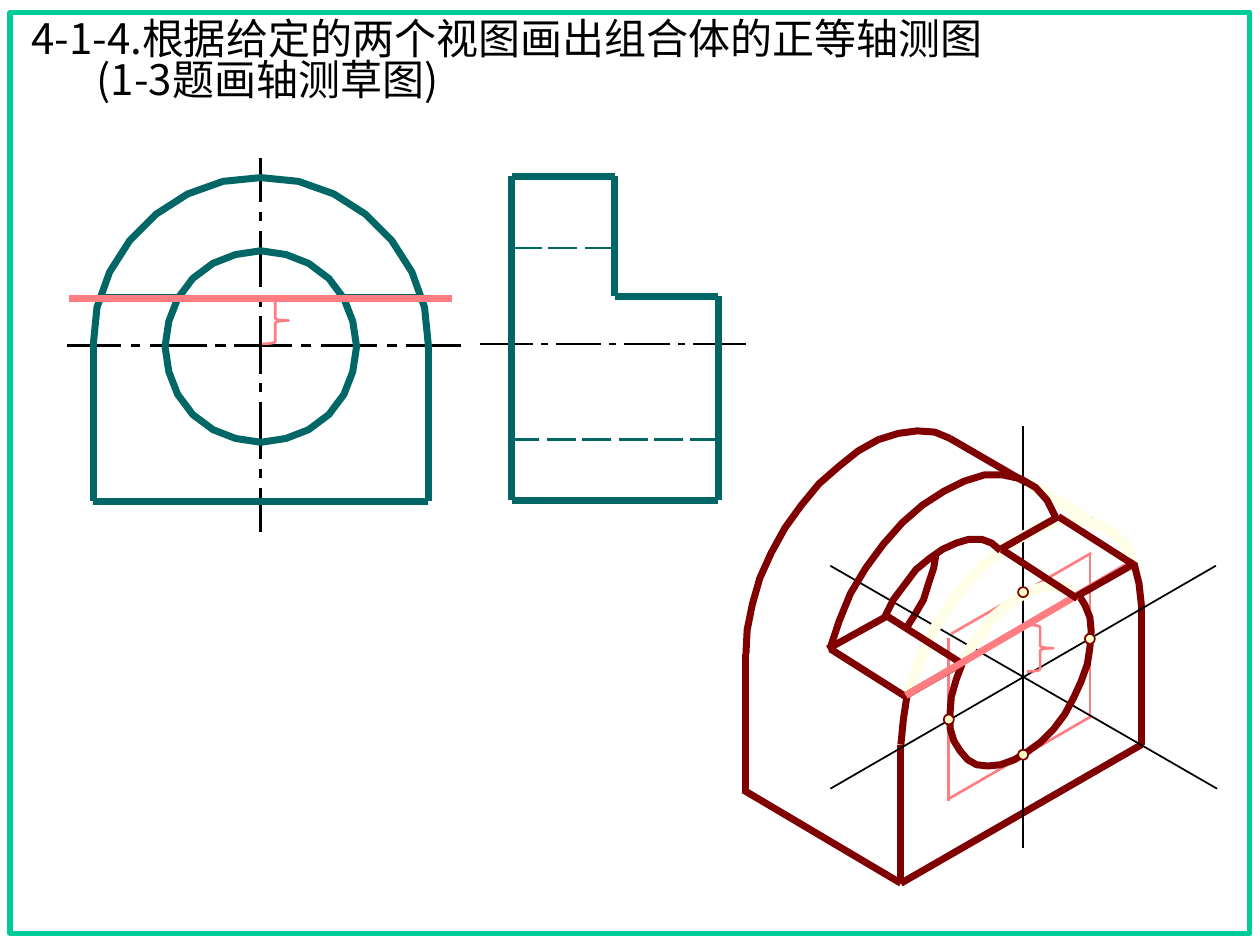
"""Build the slide for exercise 4-1-4: two views and the isometric drawing of a solid."""
from dataclasses import dataclass
from math import cos, pi, sin

from pptx import Presentation
from pptx.dml.color import RGBColor
from pptx.enum.shapes import MSO_CONNECTOR, MSO_SHAPE
from pptx.enum.text import MSO_ANCHOR
from pptx.oxml.xmlchemy import OxmlElement
from pptx.util import Pt

PX = 9144
STRAIGHT = MSO_CONNECTOR.STRAIGHT
RECTANGLE = MSO_SHAPE.RECTANGLE
OVAL = MSO_SHAPE.OVAL
RIGHT_BRACE = MSO_SHAPE.RIGHT_BRACE
MIDDLE = MSO_ANCHOR.MIDDLE


@dataclass(frozen=True)
class Theme:
    """Font, type size, colours and pens of the slide."""
    font: str = "Noto Sans CJK SC"
    title_size: int = 24
    text: str = "000000"
    dot: str = "FFFFCC"
    frame: tuple = ("00CC99", 3)
    centre: tuple = ("000000", 1.5)
    axis: tuple = ("000000", 1)
    view: tuple = ("006666", 4)
    hidden: tuple = ("006666", 1.5)
    solid: tuple = ("800000", 4)
    dot_edge: tuple = ("800000", 1)
    cut: tuple = ("FF7C80", 4)
    guide: tuple = ("FF7C80", 1.5)
    erased: tuple = ("FFFFE7", 6)


THEME = Theme()

CUT_OUTER_ARC = [
    (900, 446), (893, 432), (884, 422), (872, 415), (858, 412), (843, 412), (827, 417),
    (811, 425), (794, 436), (778, 450), (763, 467), (749, 486), (737, 506), (728, 528), (721, 549)]
CUT_HOLE_ARC = [
    (856, 473), (849, 467), (841, 464), (831, 464), (821, 467), (810, 472),
    (800, 479), (789, 488), (780, 500), (771, 512), (764, 526)]
LOWER_HOLE_ARC = [
    (764, 526), (759, 539), (755, 553), (754, 566), (754, 578), (757, 588), (762, 596),
    (768, 603), (775, 607), (784, 608), (794, 607), (805, 603), (815, 597), (826, 589),
    (836, 579), (845, 567), (852, 554), (858, 541), (863, 527), (865, 514), (866, 501),
    (865, 490), (861, 480), (856, 472)]
BACK_ARC = [
    (754, 348), (742, 343), (728, 342), (713, 344), (697, 349), (681, 358), (666, 370),
    (650, 384), (636, 401), (623, 419), (612, 439), (603, 459), (597, 480), (593, 500), (592, 519)]
HOLE_BACK_ARC = [(719, 499), (726, 488), (733, 476), (737, 463), (741, 451), (743, 439)]
LEFT_FRONT_ARC = [(720, 551), (717, 571), (715, 591)]
RIGHT_FRONT_ARC = [(906, 481), (904, 463), (900, 447)]


def set_pen(line, pen):
    """Apply a (colour, width) pen to a line format."""
    color, width = pen
    line.color.rgb = RGBColor.from_string(color)
    line.width = Pt(width)


def add_lines(s, pen, *segments):
    """Add one straight connector for each (x1, y1, x2, y2)."""
    for segment in segments:
        c = s.shapes.add_connector(STRAIGHT, *(v * PX for v in segment))
        set_pen(c.line, pen)
        c.element.spPr.append(OxmlElement("a:effectLst"))


def add_curve(s, pen, points, dx=0, dy=0, close=False):
    """Add an unfilled polyline, moved by (dx, dy)."""
    moved = [(x + dx, y + dy) for x, y in points]
    builder = s.shapes.build_freeform(*moved[0], scale=PX)
    builder.add_line_segments(moved[1:], close=close)
    sp = builder.convert_to_shape()
    sp.fill.background()
    set_pen(sp.line, pen)
    sp.shadow.inherit = False


def add_preset(s, kind, box, pen, fill=None):
    """Add a preset shape at box (left, top, width, height)."""
    sp = s.shapes.add_shape(kind, *(v * PX for v in box))
    if fill:
        sp.fill.solid()
        sp.fill.fore_color.rgb = RGBColor.from_string(fill)
    else:
        sp.fill.background()
    set_pen(sp.line, pen)
    sp.shadow.inherit = False


def circle_points(cx, cy, radius, steps, sweep):
    """Return points counter-clockwise from the right end of a circle."""
    angles = [sweep * i / steps for i in range(steps + 1)]
    return [(round(cx + radius * cos(a)), round(cy - radius * sin(a))) for a in angles]


def add_row(s, pen, y, spans):
    """Add the dashes of a horizontal line."""
    add_lines(s, pen, *((x1, y, x2, y) for x1, x2 in spans))


def add_column(s, pen, x, spans):
    """Add the dashes of a vertical line."""
    add_lines(s, pen, *((x, y1, x, y2) for y1, y2 in spans))


def add_title(s):
    """Add the two-line title."""
    tf = s.shapes.add_textbox(15 * PX, 25 * PX, 967 * PX, 50 * PX).text_frame
    tf.word_wrap = True
    tf.vertical_anchor = MIDDLE
    tf.text = "4-1-4.根据给定的两个视图画出组合体的正等轴测图\n(1-3题画轴测草图)"
    for p, indent in zip(tf.paragraphs, (0, 52)):
        p.font.name = THEME.font
        p.font.size = Pt(THEME.title_size)
        p.font.color.rgb = RGBColor.from_string(THEME.text)
        p.line_spacing = 0.82
        p._p.get_or_add_pPr().set("marL", str(indent * PX))


def draw_front_view(s):
    """Draw the front view with its centre lines and cutting line."""
    add_column(s, THEME.centre, 207, [
        (125, 160), (168, 175), (183, 228), (236, 244), (251, 297),
        (304, 311), (319, 364), (372, 379), (387, 422)])
    add_row(s, THEME.centre, 274, [
        (53, 96), (104, 111), (119, 164), (171, 179), (186, 232),
        (239, 247), (255, 299), (307, 315), (322, 366)])
    add_curve(s, THEME.view, circle_points(207, 275, 76, 24, 2 * pi)[:-1], close=True)
    add_curve(s, THEME.view, circle_points(207, 274, 133, 14, pi))
    add_row(s, THEME.view, 398, [(74, 340)])
    add_row(s, THEME.view, 236, [(79, 141), (273, 334)])
    for x in (74, 340):
        add_column(s, THEME.view, x, [(274, 398)])
    add_row(s, THEME.cut, 237, [(55, 359)])
    add_preset(s, RIGHT_BRACE, (208, 236, 21, 37), THEME.guide)


def draw_side_view(s):
    """Draw the stepped side view with its hidden lines."""
    add_row(s, THEME.centre, 273, [
        (592, 550), (544, 538), (532, 495), (489, 483), (477, 441), (435, 429), (423, 381)])
    add_row(s, THEME.hidden, 349, [
        (570, 548), (542, 519), (514, 491), (485, 462), (457, 434), (428, 406)])
    add_row(s, THEME.hidden, 197, [(406, 430), (435, 458), (464, 488)])
    for x, top, bottom in ((488, 140, 235), (406, 140, 397), (570, 235, 397)):
        add_column(s, THEME.view, x, [(top, bottom)])
    for y, left, right in ((140, 406, 488), (235, 488, 570), (397, 406, 570)):
        add_row(s, THEME.view, y, [(left, right)])


def draw_isometric(s):
    """Draw the isometric solid over its axes and construction lines."""
    add_lines(s, THEME.guide, (753, 634, 867, 568), (755, 503, 866, 439),
              (753, 506, 753, 636), (865, 439, 865, 569))
    add_curve(s, THEME.solid, BACK_ARC)
    add_lines(s, THEME.solid, (592, 519, 592, 629), (906, 481, 906, 591),
              (715, 591, 715, 701), (906, 591, 715, 701))
    add_curve(s, THEME.solid, HOLE_BACK_ARC)
    add_lines(s, THEME.solid, (754, 348, 866, 413))
    add_lines(s, THEME.axis, (659, 626, 965, 449), (966, 626, 659, 449), (812, 673, 812, 338))
    for arc in (LEFT_FRONT_ARC, RIGHT_FRONT_ARC, CUT_OUTER_ARC, LOWER_HOLE_ARC, CUT_HOLE_ARC):
        add_curve(s, THEME.solid, arc)
    for arc in (CUT_OUTER_ARC, CUT_HOLE_ARC):
        add_curve(s, THEME.erased, arc, dy=1)
    for x, y in ((749, 567), (861, 503), (808, 595), (808, 466)):
        add_preset(s, OVAL, (x, y, 8, 8), THEME.dot_edge, THEME.dot)
    add_lines(s, THEME.solid, (590, 627, 715, 701), (719, 552, 764, 526),
              (719, 553, 659, 515), (657, 515, 704, 489), (764, 527, 704, 489))
    add_preset(s, RIGHT_BRACE, (815, 496, 21, 37), THEME.guide)
    add_lines(s, THEME.cut, (719, 552, 900, 446))
    add_lines(s, THEME.solid, (855, 473, 901, 447), (855, 475, 795, 436),
              (901, 449, 840, 410), (794, 436, 840, 410))
    add_lines(s, THEME.erased, (815, 383, 865, 413))
    add_curve(s, THEME.solid, CUT_OUTER_ARC, dx=-62, dy=-35)
    add_curve(s, THEME.solid, CUT_HOLE_ARC, dx=-62, dy=-36)


def main():
    """Build and save the slide."""
    prs = Presentation()
    prs.slide_width, prs.slide_height = 1000 * PX, 750 * PX
    s = prs.slides.add_slide(prs.slide_layouts[6])
    add_preset(s, RECTANGLE, (8, 10, 984, 731), THEME.frame)
    add_title(s)
    draw_front_view(s)
    draw_side_view(s)
    draw_isometric(s)
    prs.save("out.pptx")


if __name__ == "__main__":
    main()
